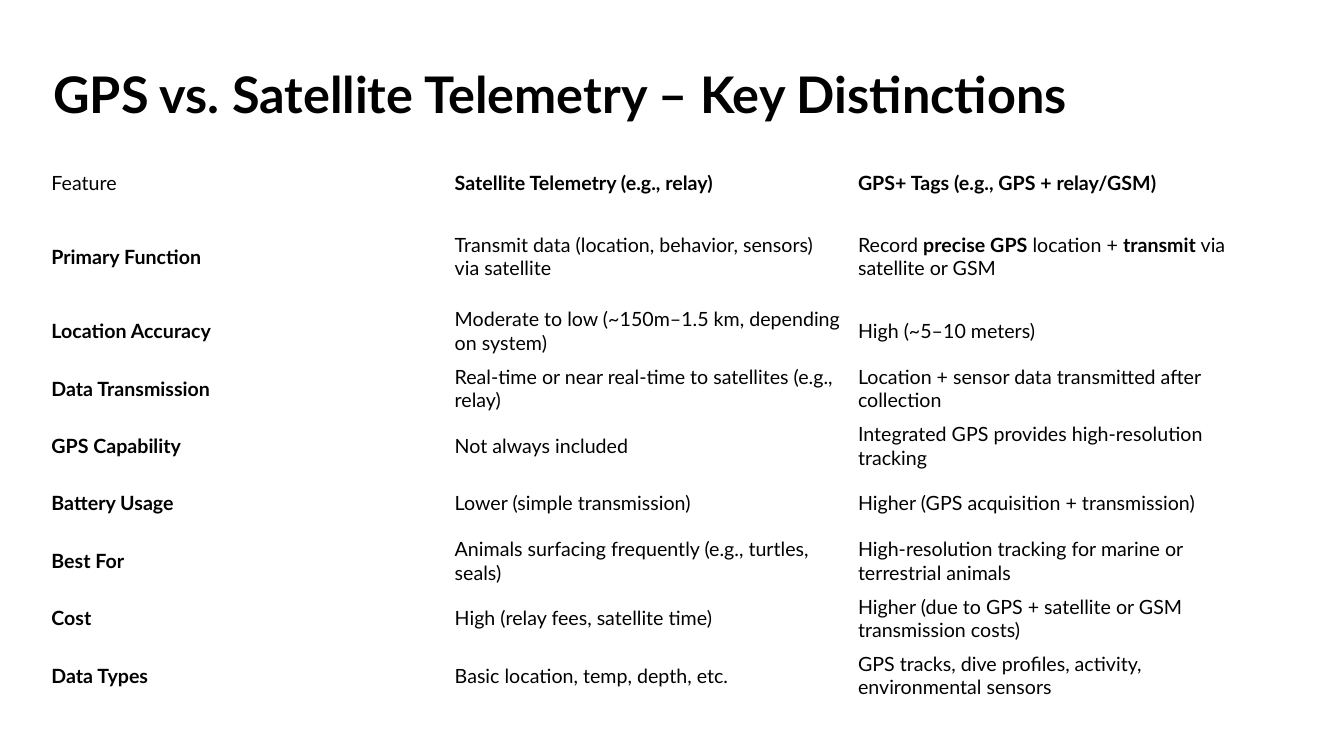
import pptx
import pptx.dml.color
import pptx.enum.text
import pptx.util

PX = 9144  # EMU per px, 100 px to the inch
COLORS = {"paper": "FFFFFF", "ink": "000000"}
FONT = "Lato"

# Text between asterisks is bold
FEATURE_ROWS = [
    ("Feature", "*Satellite Telemetry (e.g., relay)*", "*GPS+ Tags (e.g., GPS + relay/GSM)*"),
    ("*Primary Function*", "Transmit data (location, behavior, sensors) via satellite",
     "Record *precise GPS* location + *transmit* via satellite or GSM"),
    ("*Location Accuracy*", "Moderate to low (~150m–1.5 km, depending on system)",
     "High (~5–10 meters)"),
    ("*Data Transmission*", "Real-time or near real-time to satellites (e.g., relay)",
     "Location + sensor data transmitted after collection"),
    ("*GPS Capability*", "Not always included",
     "Integrated GPS provides high-resolution tracking"),
    ("*Battery Usage*", "Lower (simple transmission)",
     "Higher (GPS acquisition + transmission)"),
    ("*Best For*", "Animals surfacing frequently (e.g., turtles, seals)",
     "High-resolution tracking for marine or terrestrial animals"),
    ("*Cost*", "High (relay fees, satellite time)",
     "Higher (due to GPS + satellite or GSM transmission costs)"),
    ("*Data Types*", "Basic location, temp, depth, etc.",
     "GPS tracks, dive profiles, activity, environmental sensors"),
]
HEADER_HEIGHT, FUNCTION_HEIGHT, ROW_HEIGHT = 56, 91, 57


def px(length):
    return pptx.util.Emu(length * PX)


def rgb(name):
    return pptx.dml.color.RGBColor.from_string(COLORS[name])


def write_text(frame, text, size=14, color="ink", line_spacing=None):
    """Write one paragraph, switching bold at each asterisk."""
    frame.word_wrap = True
    paragraph = frame.paragraphs[0]
    paragraph.alignment = pptx.enum.text.PP_ALIGN.LEFT
    paragraph.line_spacing = line_spacing
    for index, part in enumerate(text.split("*")):
        if part:
            run = paragraph.add_run()
            run.text = part
            run.font.name = FONT
            run.font.size = pptx.util.Pt(size)
            run.font.bold = index % 2 == 1
            run.font.color.rgb = rgb(color)


def add_title(slide, left, top, width, height):
    title = slide.shapes.add_textbox(px(left), px(top), px(width), px(height))
    title.text_frame.vertical_anchor = pptx.enum.text.MSO_ANCHOR.MIDDLE
    write_text(title.text_frame, "*GPS vs. Satellite Telemetry – Key Distinctions*",
               size=36, line_spacing=0.9)


def add_comparison(slide, left, top, width):
    heights = [HEADER_HEIGHT, FUNCTION_HEIGHT]
    heights += [ROW_HEIGHT] * (len(FEATURE_ROWS) - len(heights))
    column_count = len(FEATURE_ROWS[0])
    comparison = slide.shapes.add_table(
        len(FEATURE_ROWS), column_count, px(left), px(top), px(width), px(sum(heights))).table
    comparison.first_row = False
    comparison.horz_banding = False
    for column in comparison.columns:
        column.width = px(width // column_count)

    # Fill the rows
    for row, height, texts in zip(comparison.rows, heights, FEATURE_ROWS):
        row.height = px(height)
        for cell, text in zip(row.cells, texts):
            cell.fill.background()
            cell.vertical_anchor = pptx.enum.text.MSO_ANCHOR.MIDDLE
            cell.margin_left = cell.margin_right = px(8)
            cell.margin_top = cell.margin_bottom = px(4)
            write_text(cell.text_frame, text)


def main():
    deck = pptx.Presentation()
    deck.slide_width, deck.slide_height = px(1333), px(750)
    slide = deck.slides.add_slide(deck.slide_layouts[6])
    slide.background.fill.solid()
    slide.background.fill.fore_color.rgb = rgb("paper")
    add_title(slide, 43, 6, 1261, 181)
    add_comparison(slide, 43, 153, 1200)
    deck.save("out.pptx")


if __name__ == "__main__":
    main()
